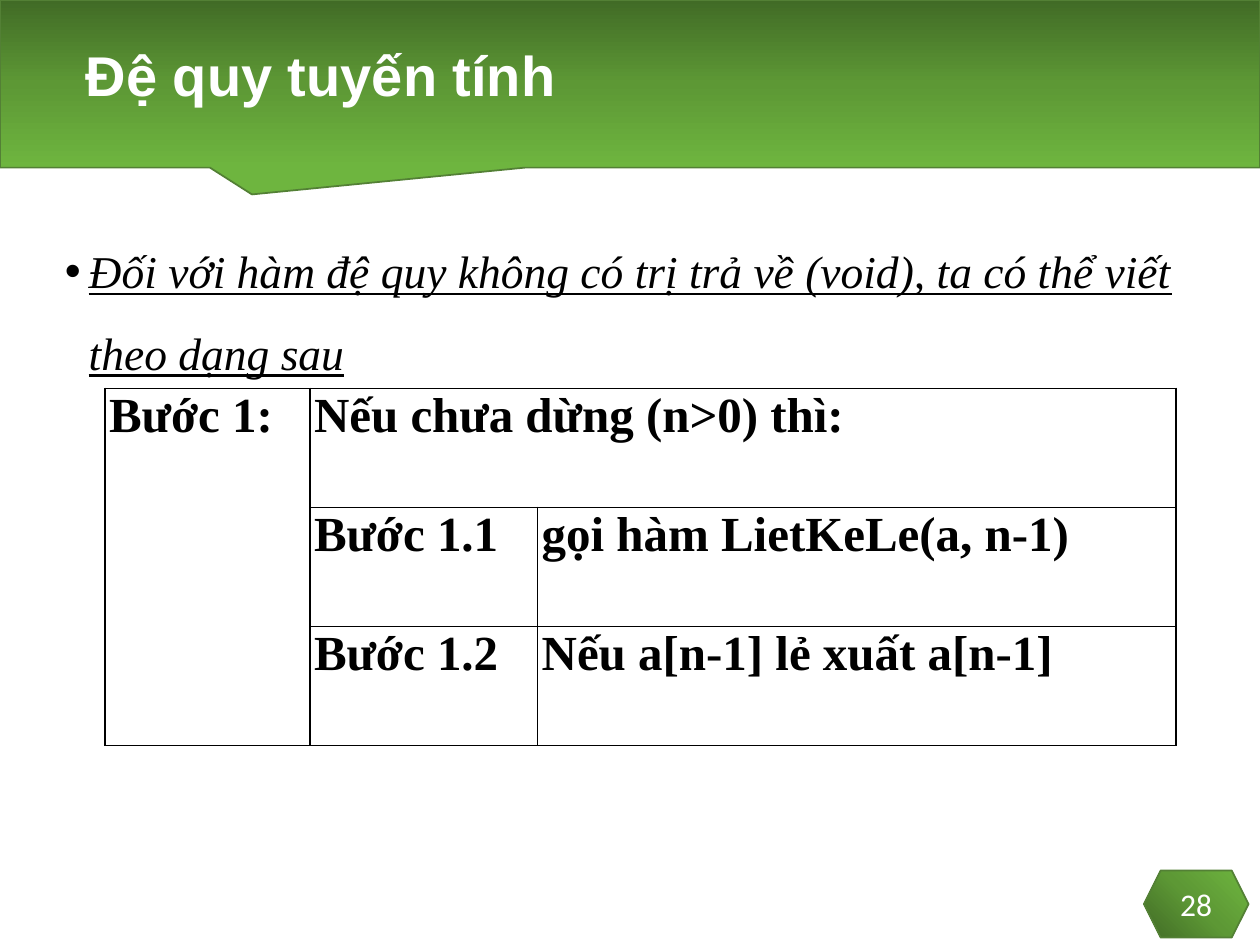
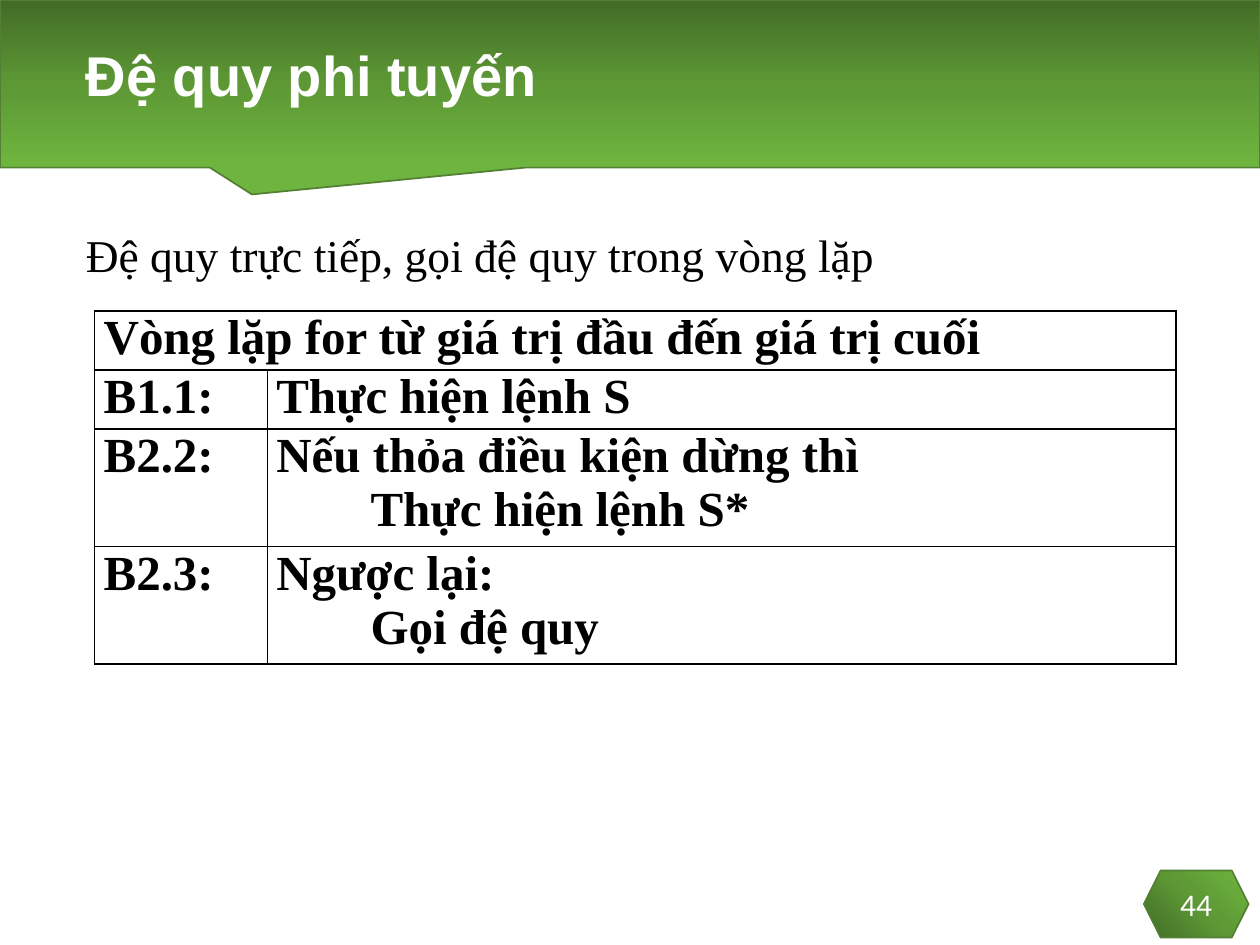
from dataclasses import dataclass

from pptx import Presentation
from pptx.dml.color import RGBColor as Rgb
from pptx.enum.shapes import MSO_SHAPE as Preset
from pptx.enum.text import MSO_ANCHOR as Anchor, PP_ALIGN as Align
from pptx.oxml import parse_xml
from pptx.oxml.ns import nsdecls, qn
from pptx.util import Cm, Pt


@dataclass(frozen=True)
class Theme:
    """Colours, fonts and type sizes shared by the slides."""
    ink: str = "000000"
    paper: str = "FFFFFF"
    outline: str = "538035"
    greens: tuple = ("416B26", "5D9835", "6EB53F")
    title_font: str = "Arial"
    body_font: str = "Times New Roman"
    number_font: str = "Calibri"
    title_size: int = 32
    body_size: int = 26
    table_size: int = 28
    number_size: int = 18
    line_width: int = 1


THEME = Theme()
DOWNWARD = '<a:lin ang="5400000" scaled="0"/>'
FROM_CORNER = '<a:path path="circle"><a:fillToRect t="100000" r="100000"/></a:path>'


def add_run(paragraph, text, font, size, color=THEME.ink, **styles):
    """Append one styled run."""
    run = paragraph.add_run()
    run.text = text
    run.font.name, run.font.size = font, Pt(size)
    run.font.color.rgb = Rgb.from_string(color)
    for style, value in styles.items():
        setattr(run.font, style, value)


def add_green_shape(slide, preset, box, direction):
    """Add an outlined shape with the shared green gradient."""
    shape = slide.shapes.add_shape(preset, *map(Cm, box))
    shape.shadow.inherit = False
    shape.line.color.rgb = Rgb.from_string(THEME.outline)
    shape.line.width = Pt(THEME.line_width)
    shape.fill.background()
    stops = "".join(f'<a:gs pos="{i * 50000}"><a:srgbClr val="{green}"/></a:gs>'
                    for i, green in enumerate(THEME.greens))
    gradient = parse_xml(f'<a:gradFill {nsdecls("a")} rotWithShape="1">'
                         f'<a:gsLst>{stops}</a:gsLst>{direction}</a:gradFill>')
    properties = shape.fill._xPr
    properties.replace(properties.find(qn("a:noFill")), gradient)
    return shape


def add_text_box(slide, box):
    """Add a wrapping text box and return its frame."""
    frame = slide.shapes.add_textbox(*map(Cm, box)).text_frame
    frame.word_wrap = True
    return frame


def add_header(slide, box, title):
    """Draw the callout band with the slide title inside it."""
    left, top, width, height = box
    band = add_green_shape(slide, Preset.RECTANGULAR_CALLOUT, box, DOWNWARD)
    band.adjustments[0], band.adjustments[1] = -0.3, 0.66
    frame = add_text_box(slide, (left + 1.48, top + 0.21, width - 2.96, height - 0.63))
    frame.vertical_anchor = Anchor.MIDDLE
    heading = frame.paragraphs[0]
    heading.line_spacing = 0.9
    add_run(heading, title, THEME.title_font, THEME.title_size, THEME.paper, bold=True)


def add_page_number(slide, box, number):
    """Draw the hexagon holding the page number."""
    frame = add_green_shape(slide, Preset.HEXAGON, box, FROM_CORNER).text_frame
    frame.vertical_anchor = Anchor.MIDDLE
    frame.paragraphs[0].alignment = Align.CENTER
    add_run(frame.paragraphs[0], str(number), THEME.number_font, THEME.number_size, THEME.paper)


def add_lead(slide, box, text, spacing, bulleted=False, **styles):
    """Write the sentence that introduces the table."""
    lead = add_text_box(slide, box).paragraphs[0]
    lead.line_spacing = spacing
    if bulleted:
        properties = lead._p.get_or_add_pPr()
        hanging = Cm(0.48)
        properties.set("marL", str(hanging))
        properties.set("indent", str(-hanging))
        properties.append(parse_xml(f'<a:buFont {nsdecls("a")} typeface="Arial"/>'))
        properties.append(parse_xml(f'<a:buChar {nsdecls("a")} char="•"/>'))
    add_run(lead, text, THEME.body_font, THEME.body_size, **styles)


def frame_cell(cell, inset):
    """Give a cell thin borders, no fill and side insets."""
    properties = cell._tc.get_or_add_tcPr()
    for side in "LRTB":
        properties.append(parse_xml(
            f'<a:ln{side} {nsdecls("a")} w="{Pt(THEME.line_width)}"><a:solidFill>'
            f'<a:srgbClr val="{THEME.ink}"/></a:solidFill></a:ln{side}>'))
    cell.fill.background()
    cell.margin_left = cell.margin_right = Cm(inset)
    cell.margin_top = cell.margin_bottom = 0


def write_cell(cell, lines):
    """Write the lines of a step, indenting all but the first."""
    for i, line in enumerate(lines):
        step = cell.text_frame.paragraphs[0] if i == 0 else cell.text_frame.add_paragraph()
        step.alignment = Align.JUSTIFY
        if i:
            step._p.get_or_add_pPr().set("marL", str(Cm(1.9)))
        add_run(step, line, THEME.body_font, THEME.table_size, bold=True)


def add_steps(slide, corner, widths, heights, texts, merges, inset):
    """Build the table of algorithm steps; texts maps (row, column) to lines."""
    size = sum(widths), sum(heights)
    table = slide.shapes.add_table(len(heights), len(widths), *map(Cm, corner + size)).table
    table.first_row = table.horz_banding = False
    for column, width in zip(table.columns, widths):
        column.width = Cm(width)
    for row, height in zip(table.rows, heights):
        row.height = Cm(height)
    for cell in table.iter_cells():
        frame_cell(cell, inset)
    for first, last in merges:
        table.cell(*first).merge(table.cell(*last))
    for place, lines in texts.items():
        write_cell(table.cell(*place), lines)


def add_recursion_slide(deck, title, number, lead, steps):
    """Add one slide: header, page number, lead sentence and steps."""
    slide = deck.slides.add_slide(deck.slide_layouts[6])
    add_header(slide, (0, 0, 25.4, 3.38), title)
    add_page_number(slide, (23.06, 17.55, 2.11, 1.35), number)
    add_lead(slide, **lead)
    add_steps(slide, **steps)


def main():
    """Build and save the deck."""
    deck = Presentation()
    deck.slide_width, deck.slide_height = Cm(25.4), Cm(19.05)
    add_recursion_slide(
        deck, "Đệ quy tuyến tính", 28,
        dict(box=(1.06, 4.23, 23.07, 3.6), spacing=1.5, bulleted=True,
             text="Đối với hàm đệ quy không có trị trả về (void), ta có thể viết theo dạng sau",
             italic=True, underline=True),
        dict(corner=(2.12, 7.83), widths=(4.13, 4.59, 12.87), heights=(2.4,) * 3, inset=0.08,
             merges=[((0, 0), (2, 0)), ((0, 1), (0, 2))],
             texts={(0, 0): ["Bước 1:"], (0, 1): ["Nếu chưa dừng (n>0) thì:"],
                    (1, 1): ["Bước 1.1"], (1, 2): ["gọi hàm LietKeLe(a, n-1)"],
                    (2, 1): ["Bước 1.2"], (2, 2): ["Nếu a[n-1] lẻ xuất a[n-1]"]}))
    add_recursion_slide(
        deck, "Đệ quy phi tuyến", 44,
        dict(box=(1.48, 4.02, 22.65, 1.9), spacing=1.4,
             text="Đệ quy trực tiếp, gọi đệ quy trong vòng lặp"),
        dict(corner=(1.91, 6.27), widths=(3.48, 18.32), inset=0.18,
             heights=[1.09 * lines for lines in (1, 1, 2, 2)],
             merges=[((0, 0), (0, 1))],
             texts={(0, 0): ["Vòng lặp for từ giá trị đầu đến giá trị cuối"],
                    (1, 0): ["B1.1:"], (1, 1): ["Thực hiện lệnh S"],
                    (2, 0): ["B2.2:"],
                    (2, 1): ["Nếu thỏa điều kiện dừng thì", "Thực hiện lệnh S*"],
                    (3, 0): ["B2.3:"], (3, 1): ["Ngược lại:", "Gọi đệ quy"]}))
    deck.save("out.pptx")


if __name__ == "__main__":
    main()
